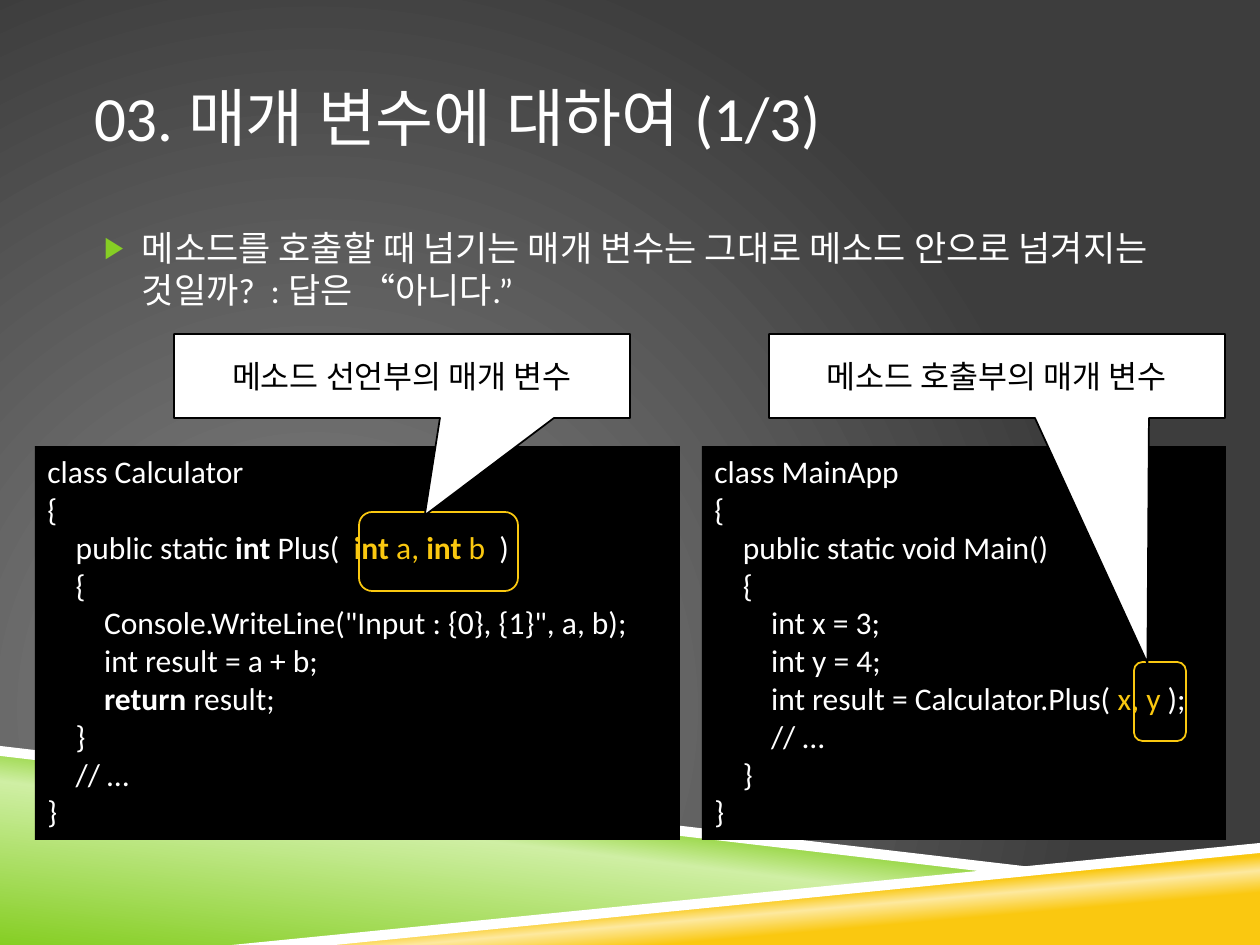
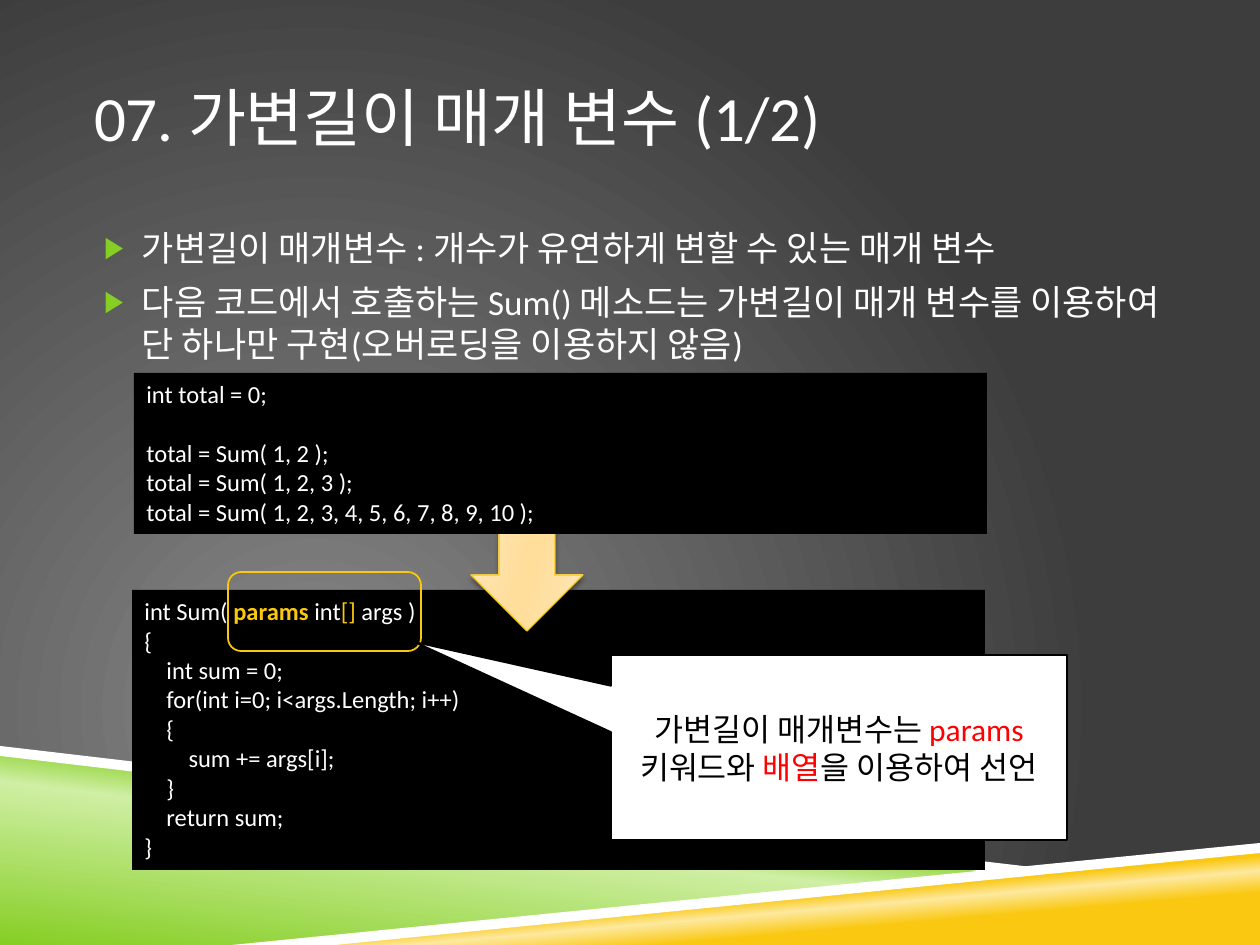
from lxml import etree
from pptx import Presentation, util as u
from pptx.dml.color import RGBColor
from pptx.enum import shapes, text
from pptx.oxml import ns

PX = 914400 / 126  # EMU in one pixel
FONT = "Calibri"
HEX = {
    "white": "FFFFFF", "black": "000000", "red": "FF0000",
    "green": "86CE24", "lime": "CFEFA4", "gold": "FAC810", "cream": "FDE99F",
    "grey": "878787", "dark": "3D3D3D",
    "pale": "FFE9C3", "sand": "FFE1A6", "tan": "FFDE9C",
}

# Bands at the foot: points, then a plain colour or (stops, angle)
BANDS = [
    ([(0, 752), (998, 872), (252, 945), (0, 945)],
     ([(0, "green"), (52, "lime"), (66, "green")], 277)),
    ([(249, 945), (1260, 847), (1260, 945)],
     ([(28, "gold"), (40, "cream"), (48, "gold")], 265)),
    ([(0, 746), (0, 756), (995, 873), (1048, 869)], "white"),
    ([(1260, 843), (232, 945), (335, 945), (1260, 853)], "white"),
]
ARROW = ([(0, "pale"), (30, "sand"), (45, "tan"), (55, "tan"),
          (73, "sand"), (100, "pale")], 16)

# A line is (level, runs); a run is plain text or (text, colour, bold)
PLUS = [
    (0, ["class Calculator"]),
    (0, ["{"]),
    (1, ["public static ", ("int ", "white", True), "Plus(  ",
         ("int ", "gold", True), ("a, ", "gold", False),
         ("int ", "gold", True), ("b  ", "gold", False), ")"]),
    (1, ["{"]),
    (2, ['Console.WriteLine("Input : {0}, {1}", a, b);']),
    (2, ["int result = a + b;"]),
    (2, [("return ", "white", True), "result;"]),
    (1, ["}"]),
    (1, ["// …"]),
    (0, ["}"]),
]
MAIN = [
    (0, ["class MainApp"]),
    (0, ["{"]),
    (1, ["public static void Main()"]),
    (1, ["{"]),
    (2, ["int x = 3;"]),
    (2, ["int y = 4;"]),
    (2, ["int result = Calculator.Plus( ", ("x, y ", "gold", False), ");"]),
    (2, ["// …"]),
    (1, ["}"]),
    (0, ["}"]),
]
CALLS = [
    (0, ["total = Sum( 1, 2 );"]),
    (0, ["total = Sum( 1, 2, 3 );"]),
    (0, ["total = Sum( 1, 2, 3, 4, 5, 6, 7, 8, 9, 10 );"]),
]
SUM = [
    (0, ["int Sum( ", ("params ", "gold", True), "int",
         ("[] ", "gold", False), "args )"]),
    (0, ["{"]),
    (1, ["int sum = 0;"]),
    (1, ["for(int i=0; i<args.Length; i++)"]),
    (1, ["{"]),
    (2, ["sum += args[i];"]),
    (1, ["}"]),
    (1, ["return sum;"]),
    (0, ["}"]),
]
NOTE = ["가변길이 매개변수는 ", ("params ", "red", False), "키워드와 ",
        ("배열", "red", False), "을 이용하여 선언"]

# Parts go from back to front: kind, place, then what the kind needs
SLIDES = [
    {"title": "03. 매개 변수에 대하여 (1/3)",
     "points": ["메소드를 호출할 때 넘기는 매개 변수는 그대로 메소드 안으로 "
                "넘겨지는 것일까?  : 답은 “아니다.”"],
     "parts": [
         ("code", (35, 446, 645, 394), PLUS, 18),
         ("code", (702, 446, 524, 394), MAIN, 18),
         ("ring", (359, 512, 159, 79)),
         ("ring", (1134, 662, 52, 79)),
         ("call", (174, 334, 456, 84), ["메소드 선언부의 매개 변수"], (0.05, 1.66)),
         ("call", (769, 334, 456, 84), ["메소드 호출부의 매개 변수"], (0.33, 3.42)),
     ]},
    {"title": "07. 가변길이 매개 변수 (1/2)",
     "points": ["가변길이 매개변수 : 개수가 유연하게 변할 수 있는 매개 변수",
                "다음 코드에서 호출하는 Sum() 메소드는 가변길이 매개 변수를 "
                "이용하여 단 하나만 구현(오버로딩을 이용하지 않음)"],
     "parts": [
         ("code", (132, 590, 853, 280), SUM, 14),
         ("arrow", (471, 512, 112, 119)),
         ("code", (134, 373, 853, 161), [(0, ["int total = 0;"])] + CALLS, 14, 1),
         ("ring", (228, 572, 193, 79)),
         ("call", (611, 655, 456, 185), NOTE, (-0.93, -0.57)),
     ]},
]


def rgb(name):
    """Return the named colour."""
    return RGBColor.from_string(HEX[name])


def emu(*nums):
    """Turn pixels into EMU."""
    return [u.Emu(round(n * PX)) for n in nums]


def sub(node, tag, **attrs):
    """Add a DrawingML child with the given attributes."""
    kid = etree.SubElement(node, ns.qn("a:" + tag))
    for key, val in attrs.items():
        kid.set(key, str(val))
    return kid


def blend(fill, node, stops, angle=None):
    """Give a gradient: linear with an angle, else round."""
    fill.gradient()
    grad = node.xpath(".//a:gradFill")[0]
    for kid in list(grad):
        grad.remove(kid)
    row = sub(grad, "gsLst")
    for pos, name in stops:
        sub(sub(row, "gs", pos=pos * 1000), "srgbClr", val=HEX[name])
    if angle is None:
        ring = sub(grad, "path", path="circle")
        sub(ring, "fillToRect", l=50000, t=100000, r=100000, b=50000)
    else:
        sub(grad, "lin", ang=angle * 60000, scaled=0)


def paint(shape, fill=None, line=None, width=1):
    """Set fill and line, and drop the shadow."""
    shape.shadow.inherit = False
    if isinstance(fill, tuple):
        blend(shape.fill, shape.element, *fill)
    elif fill:
        shape.fill.solid()
        shape.fill.fore_color.rgb = rgb(fill)
    else:
        shape.fill.background()
    if line:
        shape.line.color.rgb = rgb(line)
        shape.line.width = u.Pt(width)
    else:
        shape.line.fill.background()


def write(para, runs, size, color, align=text.PP_ALIGN.LEFT):
    """Write runs, with the font set on the paragraph."""
    para.alignment = align
    para.font.name, para.font.size = FONT, u.Pt(size)
    para.font.color.rgb = rgb(color)
    for item in runs:
        run = para.add_run()
        if isinstance(item, str):
            run.text = item
        else:
            run.text, tint, run.font.bold = item
            run.font.color.rgb = rgb(tint)


def paras(frame, count):
    """Yield the paragraphs of an empty frame."""
    for i in range(count):
        yield frame.add_paragraph() if i else frame.paragraphs[0]


def preset(slide, kind, box):
    """Add a preset shape at a pixel box."""
    return slide.shapes.add_shape(kind, *emu(*box))


def code(slide, box, lines, size, gap=None):
    """Add a black code panel; a blank line may precede line gap."""
    panel = preset(slide, shapes.MSO_SHAPE.RECTANGLE, box)
    paint(panel, "black")
    frame = panel.text_frame
    frame.vertical_anchor = text.MSO_ANCHOR.TOP
    for i, para in enumerate(paras(frame, len(lines))):
        level, runs = lines[i]
        write(para, runs, size, "white")
        # four spaces of code are 0.9 em wide
        para._p.get_or_add_pPr().set("marL", str(u.Pt(level * size * 0.9)))
        if i == gap:
            para.space_before = u.Pt(size * 1.2)


def ring(slide, box):
    """Add a gold outline around some code."""
    paint(preset(slide, shapes.MSO_SHAPE.ROUNDED_RECTANGLE, box), line="gold")


def call(slide, box, runs, tip):
    """Add a white callout whose tip is given as shares of its size."""
    shape = preset(slide, shapes.MSO_SHAPE.RECTANGULAR_CALLOUT, box)
    paint(shape, "white", "black")
    shape.adjustments[0], shape.adjustments[1] = tip
    shape.text_frame.vertical_anchor = text.MSO_ANCHOR.MIDDLE
    write(shape.text_frame.paragraphs[0], runs, 18, "black",
          text.PP_ALIGN.CENTER)


def arrow(slide, box):
    """Add the down arrow with its soft shadow."""
    shape = preset(slide, shapes.MSO_SHAPE.DOWN_ARROW, box)
    paint(shape, ARROW, "gold", 0.75)
    glow = sub(shape.element.xpath(".//a:effectLst")[0], "outerShdw",
               blurRad=u.Pt(3), dist=u.Pt(2), dir=5400000, rotWithShape=0)
    sub(sub(glow, "srgbClr", val=HEX["black"]), "alpha", val=40000)


def place(holder, box, anchor):
    """Move a placeholder and set its frame."""
    holder.left, holder.top, holder.width, holder.height = emu(*box)
    frame = holder.text_frame
    frame.margin_left = frame.margin_right = 0
    frame.vertical_anchor = anchor
    frame.word_wrap = True
    frame.auto_size = text.MSO_AUTO_SIZE.NONE
    return frame


def bullet(para):
    """Give a paragraph the green triangle bullet."""
    para.space_before = u.Pt(7)
    prop = para._p.get_or_add_pPr()
    prop.set("marL", str(u.Inches(0.38)))
    prop.set("indent", str(u.Inches(-0.3)))
    marks = etree.Element("marks")
    sub(sub(marks, "buClr"), "srgbClr", val=HEX["green"])
    sub(marks, "buSzPct", val=85000)
    sub(marks, "buFont", typeface="Arial")
    sub(marks, "buChar", char="▶")
    font = prop.find(ns.qn("a:defRPr"))
    for mark in list(marks):
        font.addprevious(mark)


def bands(slide, layout):
    """Draw the foot bands and hand them to the layout."""
    first = layout.placeholders[0].element
    for points, fill in BANDS:
        pen = slide.shapes.build_freeform(*points[0], scale=PX)
        pen.add_line_segments(points[1:], close=True)
        band = pen.convert_to_shape()
        paint(band, fill)
        first.addprevious(band.element)


DRAW = {"code": code, "ring": ring, "call": call, "arrow": arrow}


def build():
    """Build and save the deck."""
    deck = Presentation()
    deck.slide_width, deck.slide_height = emu(1260, 945)
    master, layout = deck.slide_master, deck.slide_layouts[1]
    blend(master.background.fill, master.element,
          [(0, "grey"), (100, "dark")])
    for i, page in enumerate(SLIDES):
        slide = deck.slides.add_slide(layout)
        if i == 0:
            bands(slide, layout)
        title, body = slide.placeholders
        frame = place(title, (94, 38, 1071, 157), text.MSO_ANCHOR.MIDDLE)
        write(frame.paragraphs[0], [page["title"]], 36, "white")
        frame = place(body, (94, 220, 1071, 570), text.MSO_ANCHOR.TOP)
        for para, point in zip(paras(frame, len(page["points"])),
                               page["points"]):
            write(para, [point], 20, "white")
            bullet(para)
        for kind, *rest in page["parts"]:
            DRAW[kind](slide, *rest)
    deck.save("out.pptx")


build()
